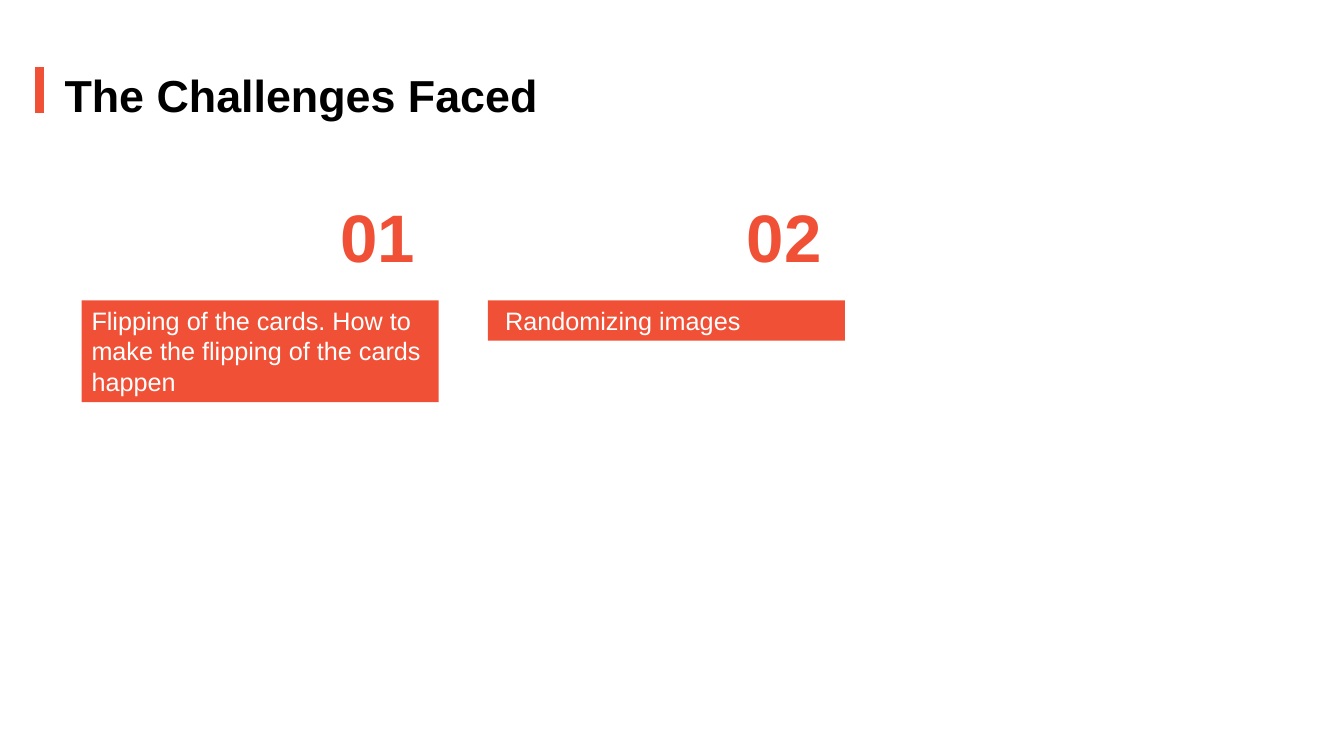
from pptx import Presentation
from pptx.dml.color import RGBColor
from pptx.enum.shapes import MSO_SHAPE
from pptx.enum.text import MSO_ANCHOR, PP_ALIGN
from pptx.util import Inches, Pt

RECT = MSO_SHAPE.RECTANGLE
TOP = MSO_ANCHOR.TOP
LEFT = PP_ALIGN.LEFT

THEME = {
    "font": "Arial",
    "accent": RGBColor(0xF0, 0x51, 0x36),
    "white": RGBColor(0xFF, 0xFF, 0xFF),
    "black": RGBColor(0x00, 0x00, 0x00),
    "title": Pt(32),
    "number": Pt(48),
    "body": Pt(18),
}


def add_rect(x, y, w, h, fill):
    sp = s.shapes.add_shape(RECT, Inches(x), Inches(y), Inches(w), Inches(h))
    sp.shadow.inherit = False
    sp.fill.solid()
    sp.fill.fore_color.rgb = THEME[fill]
    sp.line.fill.background()
    return sp


def write(sp, text, size, color, bold=False, wrap=True, indent=0.1):
    tf = sp.text_frame
    tf.word_wrap = wrap
    tf.vertical_anchor = TOP
    tf.margin_left = Inches(indent)
    tf.margin_right = Inches(0.1)
    tf.margin_top = tf.margin_bottom = Inches(0.05)
    p = tf.paragraphs[0]
    p.alignment = LEFT
    p.line_spacing = 1.0
    p.space_before = Pt(0)
    r = p.add_run()
    r.text = text
    r.font.name = THEME["font"]
    r.font.size = THEME[size]
    r.font.bold = bold
    r.font.color.rgb = THEME[color]


prs = Presentation()
prs.slide_width = Inches(13.33)
prs.slide_height = Inches(7.5)
s = prs.slides.add_slide(prs.slide_layouts[5])

# Title with accent bar
bar = add_rect(0.34, 0.66, 0.1, 0.47, "accent")
bar.line.color.rgb = THEME["white"]
bar.line.width = Pt(1)
title = s.shapes.title
title.left, title.top = Inches(0.54), Inches(0.62)
title.width, title.height = Inches(4.97), Inches(0.64)
write(title, "The Challenges Faced", "title", "black", bold=True, wrap=False)

# Challenge cards, each with its number right-aligned above
CARD_X, CARD_Y, CARD_W, CARD_STEP = 0.81, 2.98, 3.54, 4.03
NUMBER_Y, NUMBER_W, NUMBER_H = 1.89, 1.07, 0.91
challenges = [
    ("Flipping of the cards. How to make the flipping of the cards happen",
     1.01, 0.1),
    ("Randomizing images", 0.4, 0.17),
]
for i, (text, height, indent) in enumerate(challenges):
    x = CARD_X + i * CARD_STEP
    card = add_rect(x, CARD_Y, CARD_W, height, "accent")
    write(card, text, "body", "white", indent=indent)
    number = add_rect(x + CARD_W - NUMBER_W, NUMBER_Y, NUMBER_W, NUMBER_H,
                      "white")
    write(number, f"{i + 1:02d}", "number", "accent", bold=True, wrap=False)

prs.save("out.pptx")
